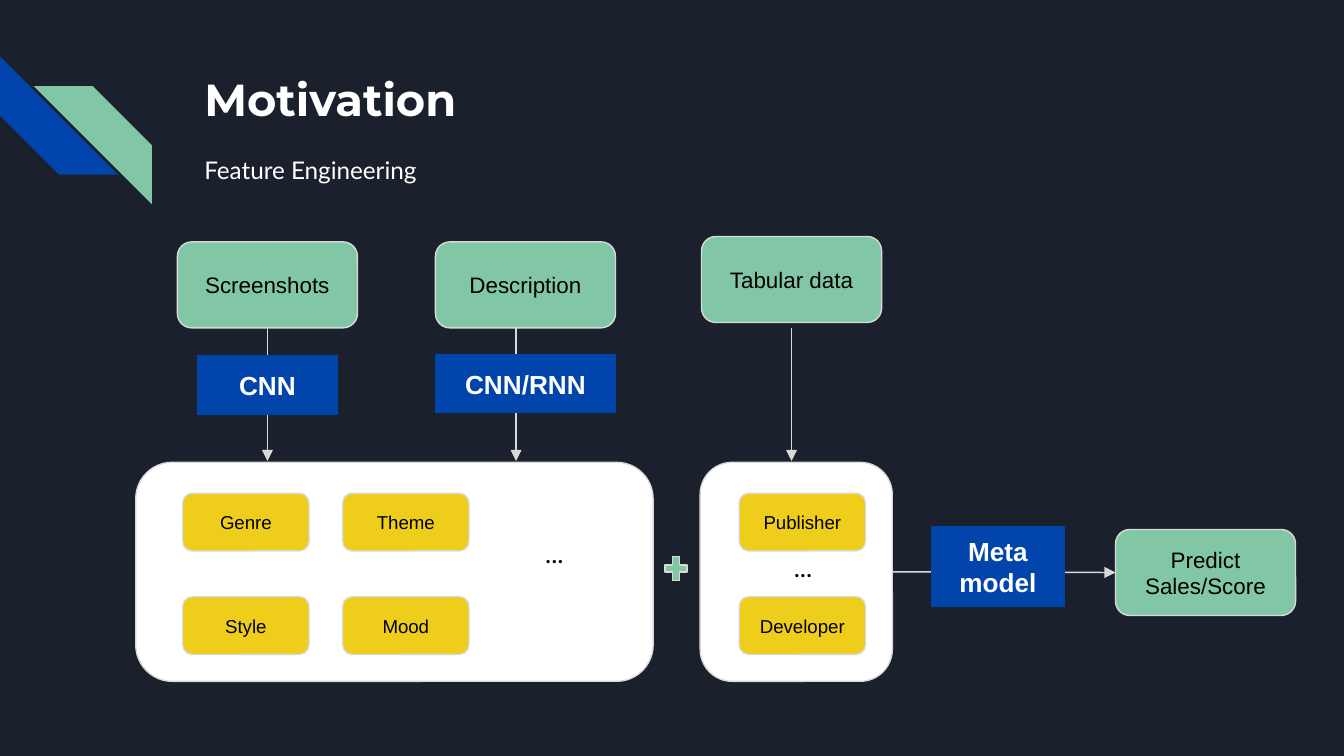
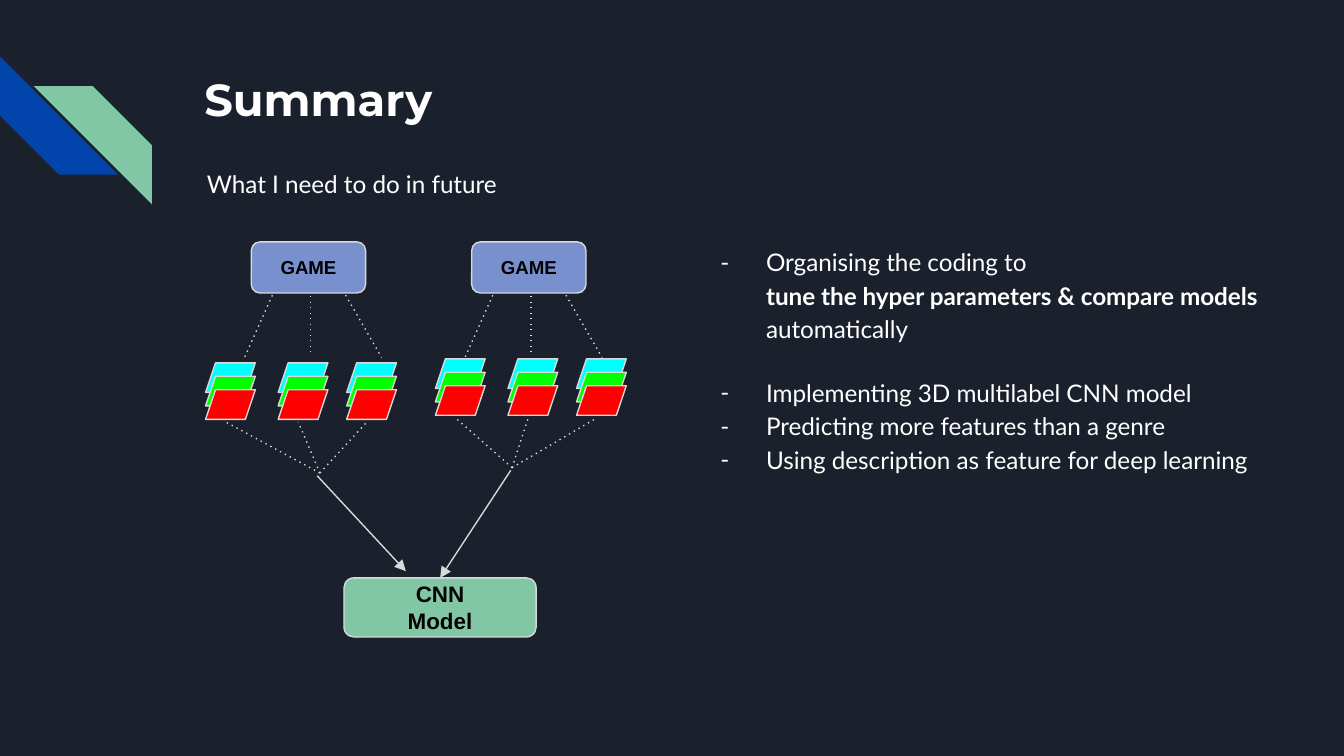
from lxml.etree import SubElement
from pptx import Presentation
from pptx.dml.color import RGBColor
from pptx.enum.shapes import MSO_CONNECTOR, MSO_SHAPE as SHAPE
from pptx.enum.text import MSO_ANCHOR as ANCHOR, MSO_AUTO_SIZE, PP_ALIGN as ALIGN
from pptx.oxml.ns import qn
from pptx.util import Inches, Pt

NAVY, BLUE, GREEN = "1B212C", "0145AC", "82C7A5"
YELLOW, PERIWINKLE = "EECE1A", "7890CD"
WHITE, BLACK, GREY = "FFFFFF", "000000", "D9D9D9"
LAYER_COLORS = ("00FFFF", "00FF00", "FF0000")
TOP, LEFT, BOTTOM, RIGHT = range(4)


def rgb(value):
    return RGBColor.from_string(value)


def write(tf, paragraphs, size=12, font="Arial", color=BLACK, bold=False,
          align=ALIGN.CENTER, anchor=ANCHOR.MIDDLE, spacing=None, after=0, bullet=None):
    """Fill a text frame; a paragraph is a string or a list of (text, bold) runs."""
    tf.word_wrap = True
    tf.auto_size = MSO_AUTO_SIZE.NONE
    tf.vertical_anchor = anchor
    tf.margin_left = tf.margin_right = tf.margin_top = tf.margin_bottom = Inches(0.1)
    for i, content in enumerate(paragraphs):
        p = tf.paragraphs[0] if i == 0 else tf.add_paragraph()
        p.alignment = align
        p.space_before, p.space_after = Pt(0), Pt(after)
        if spacing:
            p.line_spacing = spacing
        set_bullet(p, bullet)
        runs = [(content, bold)] if isinstance(content, str) else content
        for text, run_bold in runs:
            for n, line in enumerate(text.split("\n")):
                if n:
                    p.add_line_break()
                if line:
                    r = p.add_run()
                    r.text = line
                    r.font.size, r.font.name = Pt(size), font
                    r.font.bold = run_bold
                    r.font.color.rgb = rgb(color)


def set_bullet(p, char):
    pPr = p._p.get_or_add_pPr()
    pPr.set("marL", str(Inches(0.5 if char else 0)))
    pPr.set("indent", str(Inches(-0.34 if char else 0)))
    if char:
        SubElement(SubElement(pPr, qn("a:buClr")), qn("a:srgbClr")).set("val", WHITE)
        SubElement(pPr, qn("a:buFont")).set("typeface", "Lato")
        SubElement(pPr, qn("a:buChar")).set("char", char)
    else:
        SubElement(pPr, qn("a:buNone"))


def add_shape(shapes, kind, x, y, w, h, fill, line=GREY, text=None, **fmt):
    sp = shapes.add_shape(kind, Inches(x), Inches(y), Inches(w), Inches(h))
    sp.shadow.inherit = False
    sp.fill.solid()
    sp.fill.fore_color.rgb = rgb(fill)
    if line:
        sp.line.color.rgb = rgb(line)
        sp.line.width = Pt(0.75)
    else:
        sp.line.fill.background()
    if text:
        write(sp.text_frame, text.split("|"), **fmt)
    return sp


def add_round(slide, x, y, w, h, fill, text=None, **fmt):
    return add_shape(slide.shapes, SHAPE.ROUNDED_RECTANGLE, x, y, w, h, fill, text=text, **fmt)


def add_source(slide, x, y, text):
    return add_round(slide, x, y, 1.34, 0.64, GREEN, text)


def add_model(slide, x, y, w, h, text):
    add_shape(slide.shapes, SHAPE.RECTANGLE, x, y, w, h, BLUE, BLUE, text,
              size=14, color=WHITE, bold=True)


def add_feature(slide, x, y, text):
    add_round(slide, x, y, 0.94, 0.43, YELLOW, text, size=10)


def add_ellipsis(slide, x, y):
    box = slide.shapes.add_textbox(Inches(x), Inches(y), Inches(0.57), Inches(0.44))
    write(box.text_frame, ["..."], size=14, font="Lato", anchor=ANCHOR.TOP)


def add_line(slide, start, end, dotted=False):
    """Draw a dotted line, or a solid one with an arrowhead at its end."""
    line = slide.shapes.add_connector(MSO_CONNECTOR.STRAIGHT, *map(Inches, start + end))
    line.line.color.rgb = rgb(GREY)
    line.line.width = Pt(0.75)
    spPr = line._element.spPr
    ln = spPr.find(qn("a:ln"))
    if dotted:
        SubElement(ln, qn("a:prstDash")).set("val", "dot")
    else:
        SubElement(ln, qn("a:tailEnd")).set("type", "triangle")
    SubElement(spPr, qn("a:effectLst"))
    return line


def add_stack(slide, x, y):
    """Three overlapping colour layers of one screenshot."""
    group = slide.shapes.add_group_shape()
    for i, color in enumerate(LAYER_COLORS):
        add_shape(group.shapes, SHAPE.FLOWCHART_DATA, x, y + i * 0.1, 0.37, 0.22, color)


def fill_placeholder(ph, x, y, w, h, paragraphs, **fmt):
    ph.left, ph.top, ph.width, ph.height = map(Inches, (x, y, w, h))
    fmt = dict(size=13, font="Lato", color=WHITE, spacing=1.15) | fmt
    write(ph.text_frame, paragraphs, align=ALIGN.LEFT, anchor=ANCHOR.TOP, **fmt)


def add_slide(prs, layout, title):
    slide = prs.slides.add_slide(prs.slide_layouts[layout])
    fill_placeholder(slide.shapes.title, 1.42, 0.43, 7.7, 1, [title],
                     size=24, font="Montserrat", bold=True, spacing=1)
    return slide


def style_master(prs, slide):
    """Give the master its background and corner stripes, drawn by way of a slide."""
    master = prs.slide_master
    master.background.fill.solid()
    master.background.fill.fore_color.rgb = rgb(NAVY)
    blue = add_shape(slide.shapes, SHAPE.DIAGONAL_STRIPE, 0, 0.42, 0.88, 0.88, BLUE, None)
    blue.rotation = 270
    green = add_shape(slide.shapes, SHAPE.DIAGONAL_STRIPE, 0.25, 0.64, 0.88, 0.88, GREEN, None)
    green._element.spPr.find(qn("a:xfrm")).set("flipH", "1")
    for sp in (blue, green):
        master.shapes._spTree.append(sp._element)


def build_motivation(slide):
    fill_placeholder(slide.placeholders[1], 1.42, 1.02, 3.8, 0.55,
                     ["Feature Engineering"], after=12)
    screenshots = add_source(slide, 1.32, 1.8, "Screenshots")
    add_source(slide, 3.24, 1.8, "Description")
    add_source(slide, 5.22, 1.76, "Tabular data")
    add_round(slide, 1.01, 3.44, 3.85, 1.63, WHITE)
    table_panel = add_round(slide, 5.21, 3.44, 1.43, 1.63, WHITE)

    columns = {1.36: ("Genre", "Style"), 2.55: ("Theme", "Mood"),
               5.5: ("Publisher", "Developer")}
    for x, names in columns.items():
        for row, name in enumerate(names):
            add_feature(slide, x, 3.67 + row * 0.77, name)
    add_ellipsis(slide, 3.84, 3.9)
    add_ellipsis(slide, 5.69, 4)
    add_shape(slide.shapes, SHAPE.MATH_PLUS, 4.92, 4.11, 0.22, 0.24, GREEN)

    arrows = [add_line(slide, (x, 2.44), (x, 3.43)) for x in (1.99, 3.84, 5.89)]
    arrows[0].begin_connect(screenshots, BOTTOM)
    add_model(slide, 1.47, 2.65, 1.04, 0.43, "CNN")
    add_model(slide, 3.24, 2.64, 1.34, 0.43, "CNN/RNN")

    prediction = add_source(slide, 8.3, 3.94, "Predict\nSales/Score")
    arrow = add_line(slide, (6.64, 4.25), (8.3, 4.25))
    arrow.begin_connect(table_panel, RIGHT)
    arrow.end_connect(prediction, LEFT)
    add_model(slide, 6.93, 3.92, 0.99, 0.59, "Meta model")


def add_game(slide, box_x, stack_x, stack_y, hub):
    """A game box, its three screenshot stacks and the hub where they meet."""
    for dx in (0, 0.54, 1.05):
        add_stack(slide, stack_x + dx, stack_y)
        add_line(slide, hub, (stack_x + dx + 0.15, stack_y + 0.44), dotted=True)
    for x1, y1, x2, y2 in ((0.64, 2.09, 0.97, 2.66), (0.24, 2.01, -0.05, 2.66),
                           (0.44, 2.08, 0.44, 2.65)):
        add_line(slide, (box_x + x1, y1), (box_x + x2, y2), dotted=True)
    add_round(slide, box_x, 1.8, 0.85, 0.38, PERIWINKLE, "GAME", size=10, bold=True)


def build_summary(slide):
    _, intro, plans = slide.placeholders
    fill_placeholder(intro, 1.44, 1.13, 4.52, 0.42, ["What I need to do in future"], after=12)
    add_game(slide, 1.87, 1.53, 2.7, (2.38, 3.52))
    add_game(slide, 3.51, 3.24, 2.67, (3.81, 3.48))
    model = add_round(slide, 2.56, 4.3, 1.43, 0.44, GREEN, "CNN|Model", bold=True)
    add_line(slide, (2.36, 3.54), (3.02, 4.25))
    add_line(slide, (3.8, 3.5), (3.28, 4.3)).end_connect(model, TOP)

    fill_placeholder(plans, 5.1, 1.71, 4.7, 3.47, [
        [("Organising the coding to\n", False),
         ("tune the hyper parameters & compare models\n", True),
         ("automatically", False)],
        "Implementing 3D multilabel CNN model",
        "Predicting more features than a genre",
        "Using description as feature for deep learning",
    ], bullet="-")
    plans.text_frame.paragraphs[0].space_after = Pt(16)


def main():
    prs = Presentation()
    prs.slide_width = Inches(10)
    prs.slide_height = prs.slide_width * 9 // 16
    motivation = add_slide(prs, 1, "Motivation")
    style_master(prs, motivation)
    build_motivation(motivation)
    build_summary(add_slide(prs, 3, "Summary"))
    prs.save("out.pptx")


if __name__ == "__main__":
    main()
